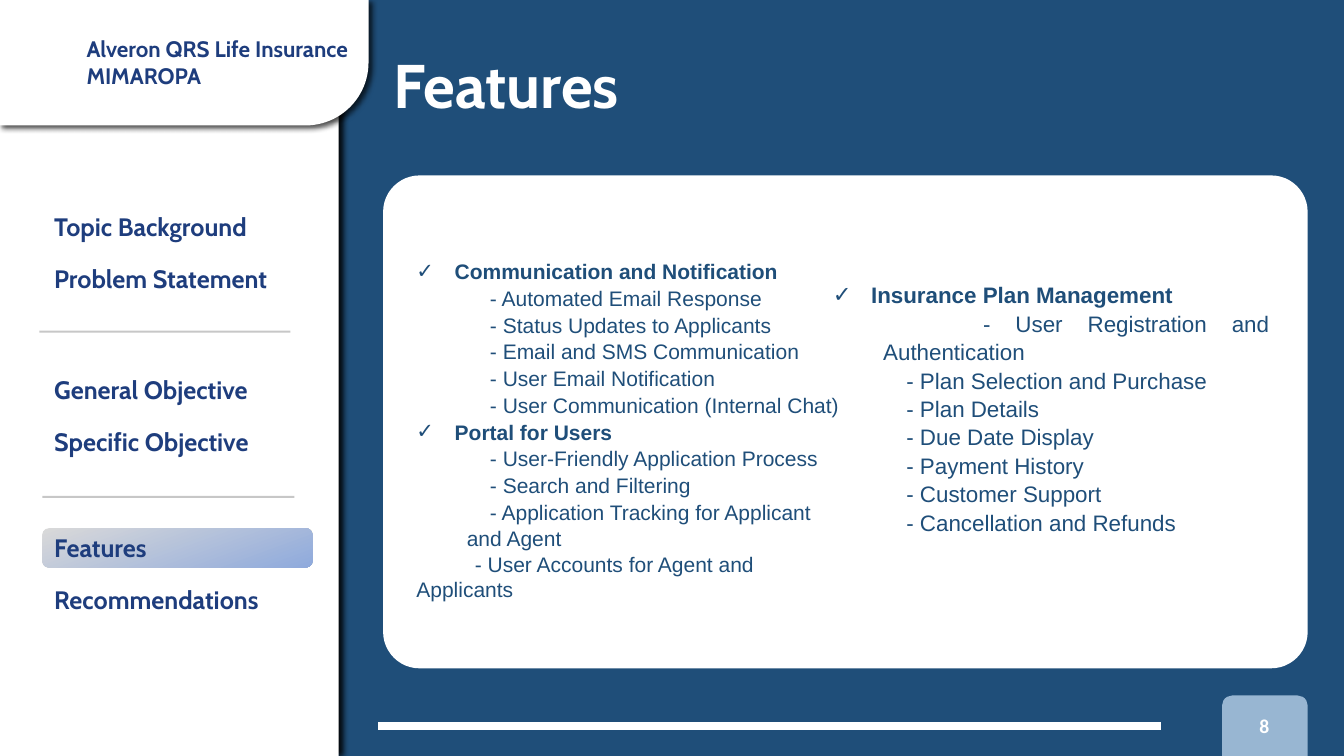
from lxml.etree import SubElement
from pptx import Presentation
from pptx.dml.color import RGBColor
from pptx.enum.shapes import MSO_CONNECTOR, MSO_SHAPE as Preset
from pptx.enum.text import MSO_ANCHOR as Anchor, MSO_AUTO_SIZE as AutoSize, PP_ALIGN as Align
from pptx.oxml.ns import qn
from pptx.util import Inches, Pt

COLORS = {
    "navy": "1F4E79", "ink": "1E3D7D", "white": "FFFFFF", "tab": "98B6D2",
    "rule": "808080", "silver": "D9D9D9", "sky": "8FAADC", "black": "000000",
}
FORMATS = {
    "title": {"size": Pt(44), "name": "Cabin", "bold": True},
    "header": {"size": Pt(16), "name": "Cabin", "bold": True},
    "menu": {"size": Pt(18), "name": "Cabin", "bold": True},
    "number": {"size": Pt(14), "name": "Calibri", "bold": True},
}

MENU = [
    (2.05, ["Topic Background", "Problem Statement"]),
    (3.67, ["General Objective", "Specific Objective"]),
    (5.24, ["Features", "Recommendations"]),
]
MENU_PITCH = 0.515
ACTIVE_ITEM = "Features"

# Left margin, first-line indent and line spacing of each paragraph level
HEADING = (0.38, -0.38, 1.06)
ITEM = (0.5, 0.23, 1.06)
WIDE_ITEM = (0.5, 0.99, 1.06)
FLUSH_ITEM = (0, 0.58, 1.0)

LEFT_FEATURES = [
    ("Communication and Notification", HEADING),
    ("- Automated Email Response", ITEM),
    ("- Status Updates to Applicants", ITEM),
    ("- Email and SMS Communication", ITEM),
    ("- User Email Notification", ITEM),
    ("- User Communication (Internal Chat)", ITEM),
    ("Portal for Users", HEADING),
    ("- User-Friendly Application Process", ITEM),
    ("- Search and Filtering", ITEM),
    ("- Application Tracking for Applicant and Agent", ITEM),
    ("- User Accounts for Agent and Applicants", FLUSH_ITEM),
]
RIGHT_FEATURES = [
    ("Insurance Plan Management", HEADING),
    ("- User Registration and Authentication", WIDE_ITEM),
    ("- Plan Selection and Purchase", ITEM),
    ("- Plan Details", ITEM),
    ("- Due Date Display", ITEM),
    ("- Payment History", ITEM),
    ("- Customer Support", ITEM),
    ("- Cancellation and Refunds", ITEM),
]


def rgb(name):
    return RGBColor.from_string(COLORS[name])


class SlideBuilder:
    def __init__(self, slide):
        self.slide = slide
        fill = slide.background.fill
        fill.solid()
        fill.fore_color.rgb = rgb("navy")

    def place(self, shape, box):
        for side, value in zip(("left", "top", "width", "height"), box):
            setattr(shape, side, Inches(value))

    def style(self, paragraph, formats, color):
        for name, value in formats.items():
            setattr(paragraph.font, name, value)
        paragraph.font.color.rgb = rgb(color)

    def set_text(self, shape, lines, kind, color, align=Align.LEFT, anchor=Anchor.MIDDLE, wrap=True):
        frame = shape.text_frame
        frame.text = "\n".join(lines)
        frame.word_wrap = wrap
        frame.vertical_anchor = anchor
        for paragraph in frame.paragraphs:
            paragraph.alignment = align
            self.style(paragraph, FORMATS[kind], color)

    def title(self, text, box):
        shape = self.slide.shapes.title
        self.place(shape, box)
        self.set_text(shape, [text], "title", "white", anchor=Anchor.TOP, wrap=False)

    def text(self, lines, box, kind, color, **options):
        shape = self.slide.shapes.add_textbox(*map(Inches, box))
        self.set_text(shape, lines, kind, color, **options)

    def shape(self, preset, box, fill=None, rotation=0, adjustment=None):
        shape = self.slide.shapes.add_shape(preset, *map(Inches, box))
        shape.shadow.inherit = False
        shape.line.fill.background()
        shape.rotation = rotation
        if adjustment is not None:
            shape.adjustments[0] = adjustment
        if fill:
            shape.fill.solid()
            shape.fill.fore_color.rgb = rgb(fill)
        else:
            shape.fill.background()
        return shape

    def shadow(self, shape, opacity, angle):
        effects = shape.element.spPr.find(qn("a:effectLst"))
        outer = SubElement(effects, qn("a:outerShdw"), blurRad=str(Pt(4)), dist=str(Pt(3)),
                           dir=str(angle * 60000), algn="l", rotWithShape="0")
        color = SubElement(outer, qn("a:srgbClr"), val=COLORS["black"])
        SubElement(color, qn("a:alpha"), val=str(opacity * 1000))

    def rule(self, left, right, top, color, width, opacity=100):
        line = self.slide.shapes.add_connector(
            MSO_CONNECTOR.STRAIGHT, Inches(left), Inches(top), Inches(right), Inches(top))
        line.line.color.rgb = rgb(color)
        line.line.width = Pt(width)
        properties = line.element.spPr
        if opacity < 100:
            SubElement(properties.find(".//" + qn("a:srgbClr")), qn("a:alpha"), val=str(opacity * 1000))
        SubElement(properties, qn("a:effectLst"))

    def menu_item(self, text, top):
        item = self.shape(Preset.ROUNDED_RECTANGLE, (0.42, top, 2.68, 0.39))
        if text == ACTIVE_ITEM:
            item.fill.gradient()
            item.fill.gradient_angle = 290
            for stop, color, position in zip(item.fill.gradient_stops, ("silver", "sky"), (0, 1)):
                stop.color.rgb = rgb(color)
                stop.position = position
        self.set_text(item, [text], "menu", "ink")

    def feature_list(self, placeholder, rows, box, size, align):
        """Fill a body placeholder with ticked headings and dashed items, in front of the card."""
        self.place(placeholder, box)
        placeholder.element.getparent().append(placeholder.element)
        frame = placeholder.text_frame
        frame.text = "\n".join(text for text, level in rows)
        frame.word_wrap = True
        frame.auto_size = AutoSize.NONE
        frame.vertical_anchor = Anchor.MIDDLE
        for paragraph, (text, level) in zip(frame.paragraphs, rows):
            margin, indent, spacing = level
            layout = {"alignment": align, "line_spacing": spacing,
                      "space_before": Pt(0), "space_after": Pt(0)}
            for name, value in layout.items():
                setattr(paragraph, name, value)
            is_heading = level == HEADING
            for run in paragraph.runs:
                self.style(run, {"size": Pt(size), "name": "Arial", "bold": is_heading}, "navy")
            properties = paragraph._p.get_or_add_pPr()
            properties.set("marL", str(Inches(margin)))
            properties.set("indent", str(Inches(indent)))
            if is_heading:
                SubElement(properties, qn("a:buFont"), typeface="Arial")
                SubElement(properties, qn("a:buChar"), char="✓")
            else:
                SubElement(properties, qn("a:buNone"))


def main():
    presentation = Presentation()
    presentation.slide_width = Inches(13.33)
    presentation.slide_height = Inches(7.5)
    slide = presentation.slides.add_slide(presentation.slide_layouts[3])
    left_list, right_list = slide.placeholders[1], slide.placeholders[2]
    builder = SlideBuilder(slide)

    builder.title("Features", (3.8, 0.42, 2.65, 0.84))
    sidebar = builder.shape(Preset.RECTANGLE, (0, 0.07, 3.36, 7.43), "white")
    builder.shadow(sidebar, 90, 0)
    header = builder.shape(Preset.ROUND_1_RECTANGLE, (1.2, -1.21, 1.25, 3.66), "white", 90, 0.5)
    builder.shadow(header, 70, 45)
    builder.text(["Alveron QRS Life Insurance", "MIMAROPA"], (0.76, 0.3, 3.01, 0.64),
                 "header", "ink", anchor=Anchor.TOP, wrap=False)

    builder.shape(Preset.ROUNDED_RECTANGLE, (3.8, 1.74, 9.17, 4.89), "white", adjustment=0.074)
    builder.shape(Preset.ROUND_2_SAME_RECTANGLE, (12.12, 6.9, 0.85, 0.6), "tab")
    builder.rule(3.75, 11.52, 7.2, "white", 6)
    builder.text(["8"], (12.22, 7, 0.64, 0.4), "number", "white", align=Align.CENTER)

    for left, right, top in ((0.39, 2.88, 3.29), (0.42, 2.92, 4.93)):
        builder.rule(left, right, top, "rule", 1.5, 44)
    for top, items in MENU:
        for index, text in enumerate(items):
            builder.menu_item(text, top + index * MENU_PITCH)

    builder.feature_list(left_list, LEFT_FEATURES, (4.03, 2.05, 4.44, 4.42), 15, Align.LEFT)
    builder.feature_list(right_list, RIGHT_FEATURES, (8.16, 1.97, 4.53, 4.15), 16, Align.JUSTIFY)
    presentation.save("out.pptx")


if __name__ == "__main__":
    main()
